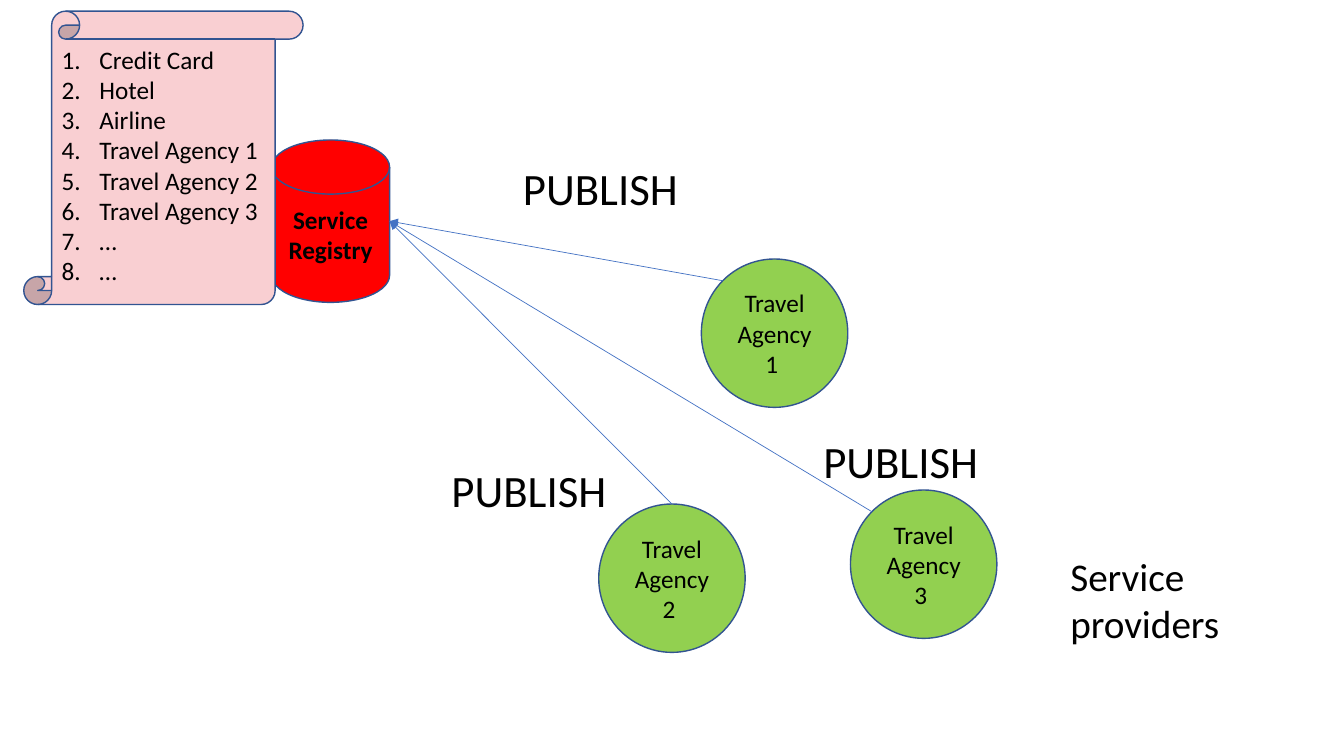
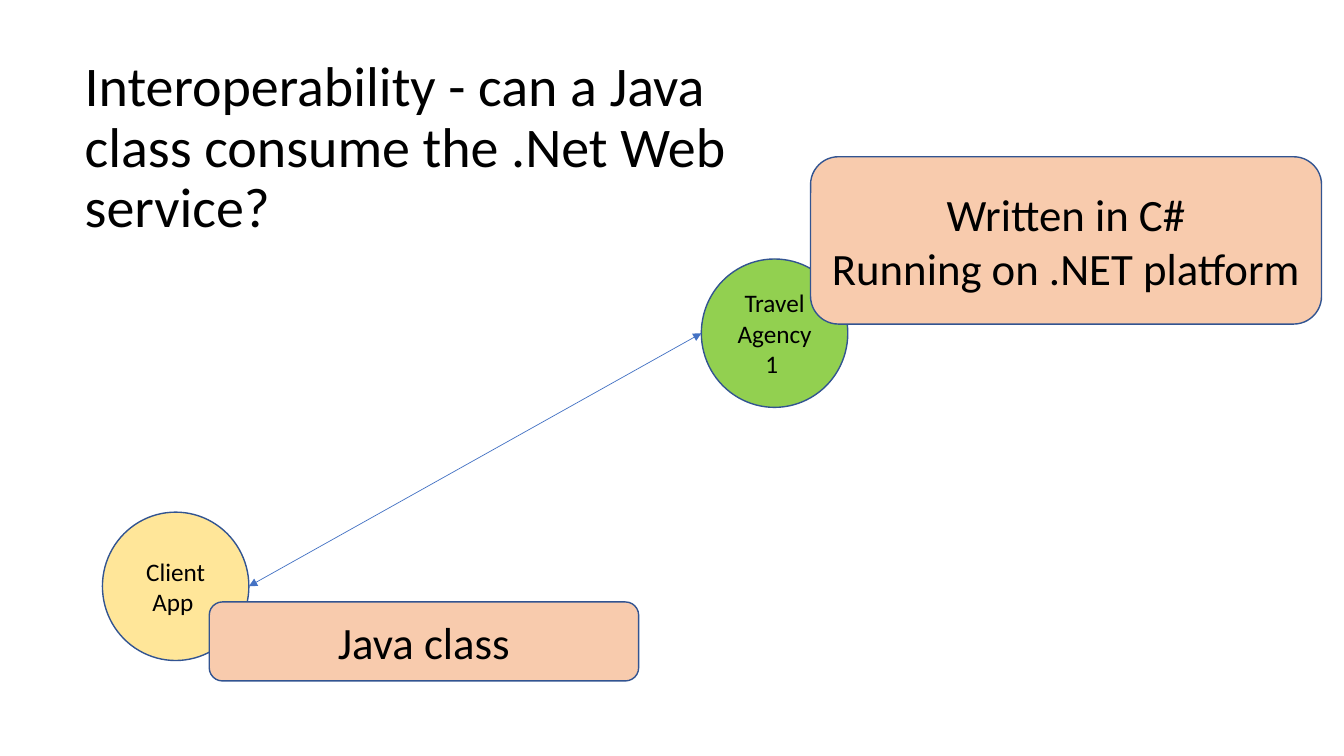
from lxml import etree
from pptx import Presentation
from pptx.dml.color import RGBColor
from pptx.enum.shapes import MSO_CONNECTOR, MSO_SHAPE
from pptx.enum.text import MSO_ANCHOR, MSO_AUTO_SIZE, PP_ALIGN
from pptx.oxml.ns import qn
from pptx.util import Pt

# Shared style
COLORS = {
    "text": "000000",
    "outline": "325491",
    "arrow": "4472C4",
    "provider": "92D050",
    "client": "FFE699",
    "registry": "FF0000",
    "scroll": "F9CFD2",
    "callout": "F8CBAD",
}
FONT = "Calibri"
STRAIGHT = MSO_CONNECTOR.STRAIGHT
CIRCLE = MSO_SHAPE.FLOWCHART_CONNECTOR
DISK = MSO_SHAPE.FLOWCHART_MAGNETIC_DISK
SCROLL = MSO_SHAPE.VERTICAL_SCROLL
ROUNDED = MSO_SHAPE.ROUNDED_RECTANGLE
LEFT, CENTER = PP_ALIGN.LEFT, PP_ALIGN.CENTER
TOP, MIDDLE = MSO_ANCHOR.TOP, MSO_ANCHOR.MIDDLE
GROW = MSO_AUTO_SIZE.SHAPE_TO_FIT_TEXT

# Shared geometry, in points
SLIDE_SIZE = (960, 540)
NODE_W, NODE_H = 104.6, 106
AGENCY_1_AT = (501, 185)
DIAGONAL = 0.5 - 0.5 ** 1.5  # inset of a circle's 45-degree point


def rgb(name):
    return RGBColor.from_string(COLORS[name])


def write(frame, lines, size, align=LEFT, anchor=TOP, bold=None):
    frame.word_wrap = True
    frame.vertical_anchor = anchor
    frame.text = "\n".join(lines)
    for paragraph in frame.paragraphs:
        paragraph.alignment = align
        paragraph.font.name = FONT
        paragraph.font.size = Pt(size)
        paragraph.font.bold = bold
        paragraph.font.color.rgb = rgb("text")


def add_box(slide, preset, box, fill, lines, size=18, align=CENTER, anchor=MIDDLE, bold=None):
    shape = slide.shapes.add_shape(preset, *map(Pt, box))
    shape.shadow.inherit = False
    shape.fill.solid()
    shape.fill.fore_color.rgb = rgb(fill)
    shape.line.color.rgb = rgb("outline")
    shape.line.width = Pt(1)
    write(shape.text_frame, lines, size, align, anchor, bold)
    return shape


def add_node(slide, at, fill, label):
    # The label's trailing space is part of its wording
    add_box(slide, CIRCLE, (*at, NODE_W, NODE_H), fill, [label + " "])


def node_point(at, across, down):
    return at[0] + across * NODE_W, at[1] + down * NODE_H


def add_label(slide, box, text, size):
    label = slide.shapes.add_textbox(*map(Pt, box))
    write(label.text_frame, [text], size)
    label.text_frame.auto_size = GROW


def add_arrow(slide, start, end, ends=("tailEnd",)):
    arrow = slide.shapes.add_connector(STRAIGHT, *map(Pt, (*start, *end)))
    arrow.line.color.rgb = rgb("arrow")
    arrow.line.width = Pt(0.5)
    outline = arrow.line._get_or_add_ln()
    for tag in ends:
        etree.SubElement(outline, qn("a:" + tag), type="triangle")
    etree.SubElement(arrow._element.spPr, qn("a:effectLst"))


def number_lines(frame, indent):
    for paragraph in frame.paragraphs:
        properties = paragraph._p.get_or_add_pPr()
        properties.set("marL", str(Pt(indent)))
        properties.set("indent", str(-Pt(indent)))
        etree.SubElement(properties, qn("a:buFont"), typeface="+mj-lt")
        etree.SubElement(properties, qn("a:buAutoNum"), type="arabicPeriod")


def set_title(slide, box, text):
    title = slide.shapes.title
    title.left, title.top, title.width, title.height = map(Pt, box)
    write(title.text_frame, [text], 40)
    title.text_frame.auto_size = MSO_AUTO_SIZE.NONE
    heading = title.text_frame.paragraphs[0]
    heading.line_spacing = 0.9
    heading.space_before = Pt(10)


def build_publish_slide(prs):
    slide = prs.slides.add_slide(prs.slide_layouts[6])

    # Providers, each with the circle point its arrow leaves from
    providers = [
        (AGENCY_1_AT, (DIAGONAL, DIAGONAL)),
        ((427.7, 360), (0.5, 0)),
        ((607.5, 350), (DIAGONAL, DIAGONAL)),
    ]
    for number, (at, _) in enumerate(providers, 1):
        add_node(slide, at, "provider", f"Travel Agency {number}")

    # Registry and the arrows into its right side
    registry = (194, 100, 84.3, 116)
    add_box(slide, DISK, registry, "registry", ["Service Registry"], bold=True)
    x, y, width, height = registry
    entry = (x + width, y + height / 2)
    for at, leaving in providers:
        add_arrow(slide, node_point(at, *leaving), entry)

    # List of published services
    services = ["Credit Card", "Hotel", "Airline"]
    services += [f"Travel Agency {number}" for number in range(1, 4)] + ["…"] * 2
    scroll = add_box(slide, SCROLL, (17, 8, 199.5, 209.5), "scroll", services,
                     align=LEFT, anchor=TOP)
    scroll.adjustments[0] = 0.1
    number_lines(scroll.text_frame, 27)

    # Labels
    for at in [(366.5, 111.5), (581, 306), (315.4, 327)]:
        add_label(slide, (*at, 139.7, 46), "PUBLISH", 32)
    add_label(slide, (757.4, 391, 182, 75), "Service providers", 28)


def build_interoperability_slide(prs):
    slide = prs.slides.add_slide(prs.slide_layouts[5])
    set_title(slide, (53.3, 38.2, 488, 173.5),
              "Interoperability - can a Java class consume the .Net Web service?")

    # Client and provider
    client_at = (73.2, 365.8)
    add_node(slide, AGENCY_1_AT, "provider", "Travel Agency 1")
    add_node(slide, client_at, "client", "Client App")
    add_arrow(slide, node_point(client_at, 1, 0.5), node_point(AGENCY_1_AT, 0, 0.5),
              ("headEnd", "tailEnd"))

    # Platform callouts
    add_box(slide, ROUNDED, (149.5, 430, 306.7, 56.4), "callout", ["Java class"], 32)
    add_box(slide, ROUNDED, (579, 112, 365, 119.5), "callout",
            ["Written in C#", "Running on .NET platform"], 32)


def main():
    prs = Presentation()
    prs.slide_width, prs.slide_height = map(Pt, SLIDE_SIZE)
    build_publish_slide(prs)
    build_interoperability_slide(prs)
    prs.save("out.pptx")


main()
